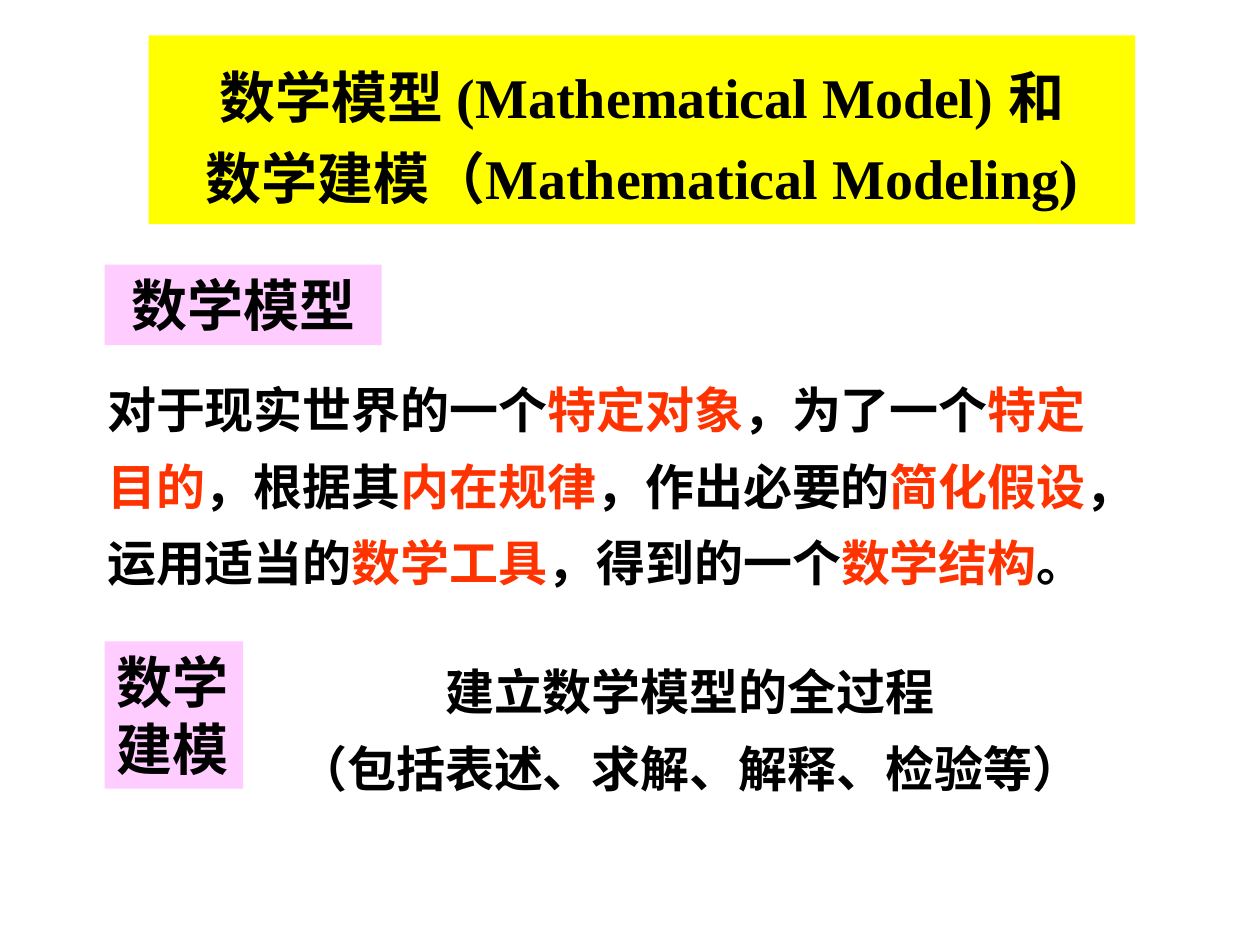
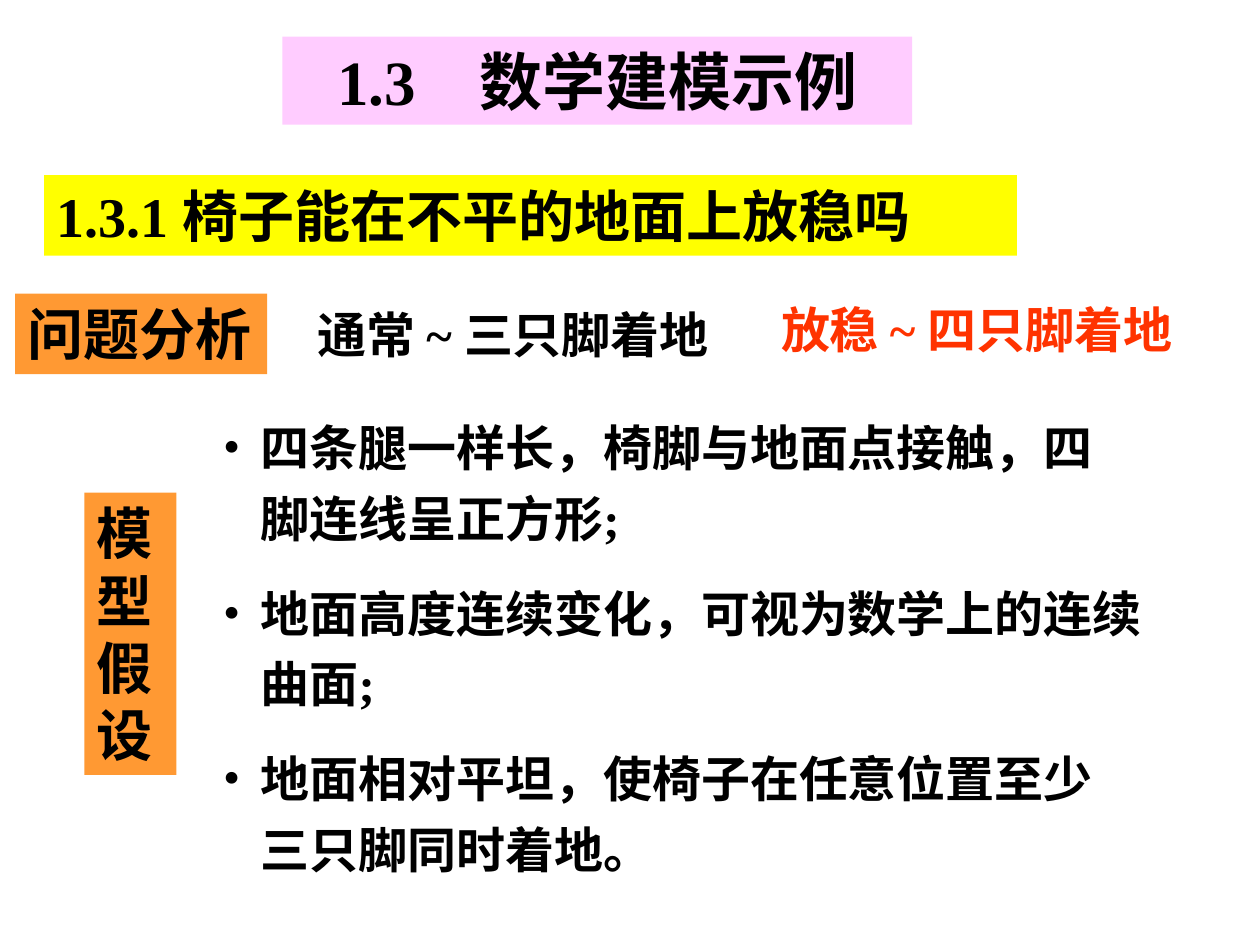
from lxml import etree
from pptx import Presentation
from pptx import util as u
from pptx.dml.color import RGBColor
from pptx.enum import text
from pptx.oxml.ns import qn

COLORS = {"black": "000000", "red": "FF3300", "yellow": "FFFF00",
          "pink": "FFCCFF", "orange": "FF9933"}
LATIN, EAST_ASIAN = "Times New Roman", "Noto Sans CJK SC"
CENTER, LEFT = text.PP_ALIGN.CENTER, text.PP_ALIGN.LEFT
MIDDLE, TOP = text.MSO_ANCHOR.MIDDLE, text.MSO_ANCHOR.TOP


def add_xml(parent, tag, **attrs):
    return etree.SubElement(parent, qn(tag), attrs)


def put_text(sp, box, paras, size=28, fill=None, align=LEFT, anchor=TOP,
             wrap=True, spacing=1.0, gap=0, bullet=False, colors=("black", "red")):
    """Place and fill a shape; each "|" in a paragraph switches between the two colors."""
    for name, value in zip(("left", "top", "width", "height"), box):
        setattr(sp, name, u.Inches(value))
    if fill:
        sp.fill.solid()
        sp.fill.fore_color.rgb = RGBColor.from_string(COLORS[fill])
    tf = sp.text_frame
    frame = {"word_wrap": wrap, "auto_size": text.MSO_AUTO_SIZE.NONE, "vertical_anchor": anchor}
    for name, value in frame.items():
        setattr(tf, name, value)
    for i, line in enumerate(paras):
        p = tf.add_paragraph() if i else tf.paragraphs[0]
        layout = {"alignment": align, "line_spacing": spacing,
                  "space_before": u.Pt(gap if i else 0)}
        for name, value in layout.items():
            setattr(p, name, value)
        pPr = p._p.get_or_add_pPr()
        indent = u.Inches(0.3) if bullet else 0
        pPr.set("marL", str(indent))
        pPr.set("indent", str(-indent))
        if bullet:
            add_xml(add_xml(pPr, "a:buClr"), "a:srgbClr", val=COLORS["black"])
            add_xml(pPr, "a:buFont", typeface=LATIN)
            add_xml(pPr, "a:buChar", char="•")
        else:
            add_xml(pPr, "a:buNone")
        if "\t" in line:
            stops = add_xml(pPr, "a:tabLst")
            add_xml(stops, "a:tab", pos=str(u.Inches(1.2)), algn="l")
        for j, part in enumerate(line.split("|")):
            for k, piece in enumerate(part.split("\v")):
                if k:
                    p.add_line_break()
                if not piece:
                    continue
                r = p.add_run()
                r.text = piece
                for name, value in {"name": LATIN, "size": u.Pt(size), "bold": True}.items():
                    setattr(r.font, name, value)
                r.font.color.rgb = RGBColor.from_string(COLORS[colors[j % 2]])
                add_xml(r._r.get_or_add_rPr(), "a:ea", typeface=EAST_ASIAN)


prs = Presentation()
prs.slide_width, prs.slide_height = u.Inches(10), u.Inches(7.5)
title_and_body = prs.slide_layouts[1]

# Slide 1: mathematical model and modeling
s = prs.slides.add_slide(title_and_body)
put_text(s.shapes.title, (1.18, 0.28, 7.83, 1.5),
         ["数学模型 (Mathematical Model) 和", "数学建模（Mathematical Modeling)"],
         size=32, fill="yellow", align=CENTER, anchor=MIDDLE, wrap=False, spacing=1.2)
put_text(s.placeholders[1], (0.75, 2.88, 8.34, 1.81),
         ["对于现实世界的一个|特定对象|，为了一个|特定",
          "|目的|，根据其|内在规律|，作出必要的|简化假设|，",
          "运用适当的|数学工具|，得到的一个|数学结构|。"],
         anchor=MIDDLE, wrap=False, spacing=1.3)
process = s.shapes.add_textbox(0, 0, 0, 0)
put_text(process, (2.32, 5.01, 6.31, 1.42),
         ["建立数学模型的全过程", "（包括表述、求解、解释、检验等）"],
         align=CENTER, anchor=MIDDLE, wrap=False, spacing=1.3)
terms = [("数学模型", (0.83, 2.1, 2.2, 0.64), CENTER),
         ("数学建模", (0.83, 5.09, 1.1, 1.17), LEFT)]
for term, box, align in terms:
    put_text(s.shapes.add_textbox(0, 0, 0, 0), box, [term], size=32, fill="pink", align=align)

# Slide 2: the chair example
s = prs.slides.add_slide(title_and_body)
put_text(s.shapes.title, (2.24, 0.29, 5, 0.7), ["1.3　数学建模示例"],
         size=36, fill="pink", align=CENTER)
headings = [("1.3.1\t椅子能在不平的地面上放稳吗", (0.35, 1.39, 7.72, 0.64), "yellow"),
            ("问题分析", (0.12, 2.33, 2, 0.64), "orange"),
            ("模型假设", (0.67, 3.91, 0.73, 2.24), "orange")]
for heading, box, fill in headings:
    put_text(s.shapes.add_textbox(0, 0, 0, 0), box, [heading], size=32, fill=fill)
cases = [("通常 ~ 三只脚着地", (2.42, 2.37, 3.42, 1.04), "black"),
         ("放稳 ~ 四只脚着地", (6.1, 2.33, 3.42, 1.04), "red")]
for case, box, color in cases:
    put_text(s.shapes.add_textbox(0, 0, 0, 0), box, [case], colors=(color, color))
put_text(s.placeholders[1], (1.67, 3.17, 7.58, 3.85),
         ["四条腿一样长，椅脚与地面点接触，四\v脚连线呈正方形;",
          "地面高度连续变化，可视为数学上的连续曲面;",
          "地面相对平坦，使椅子在任意位置至少\v三只脚同时着地。"],
         spacing=1.2, gap=14, bullet=True)

prs.save("out.pptx")
